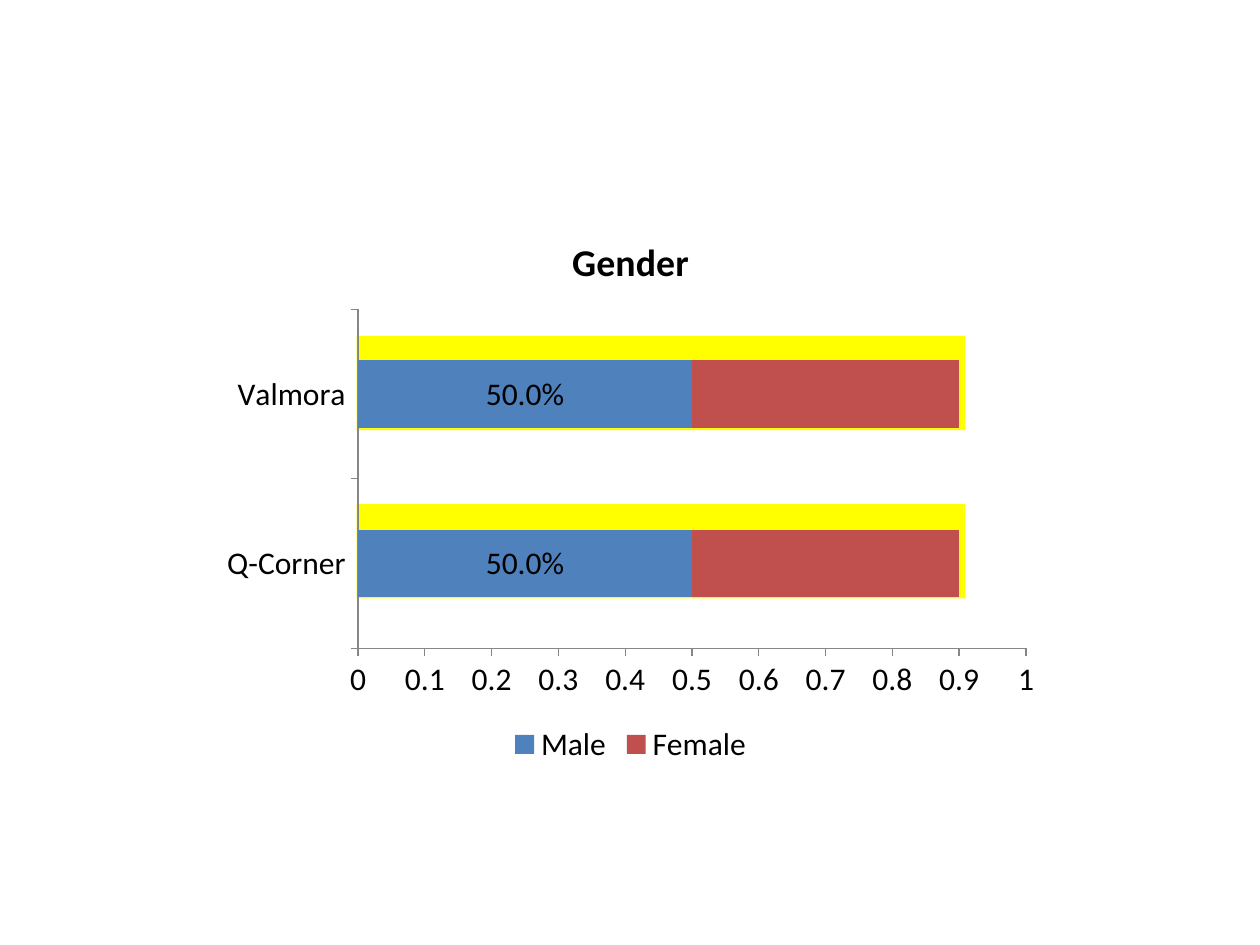
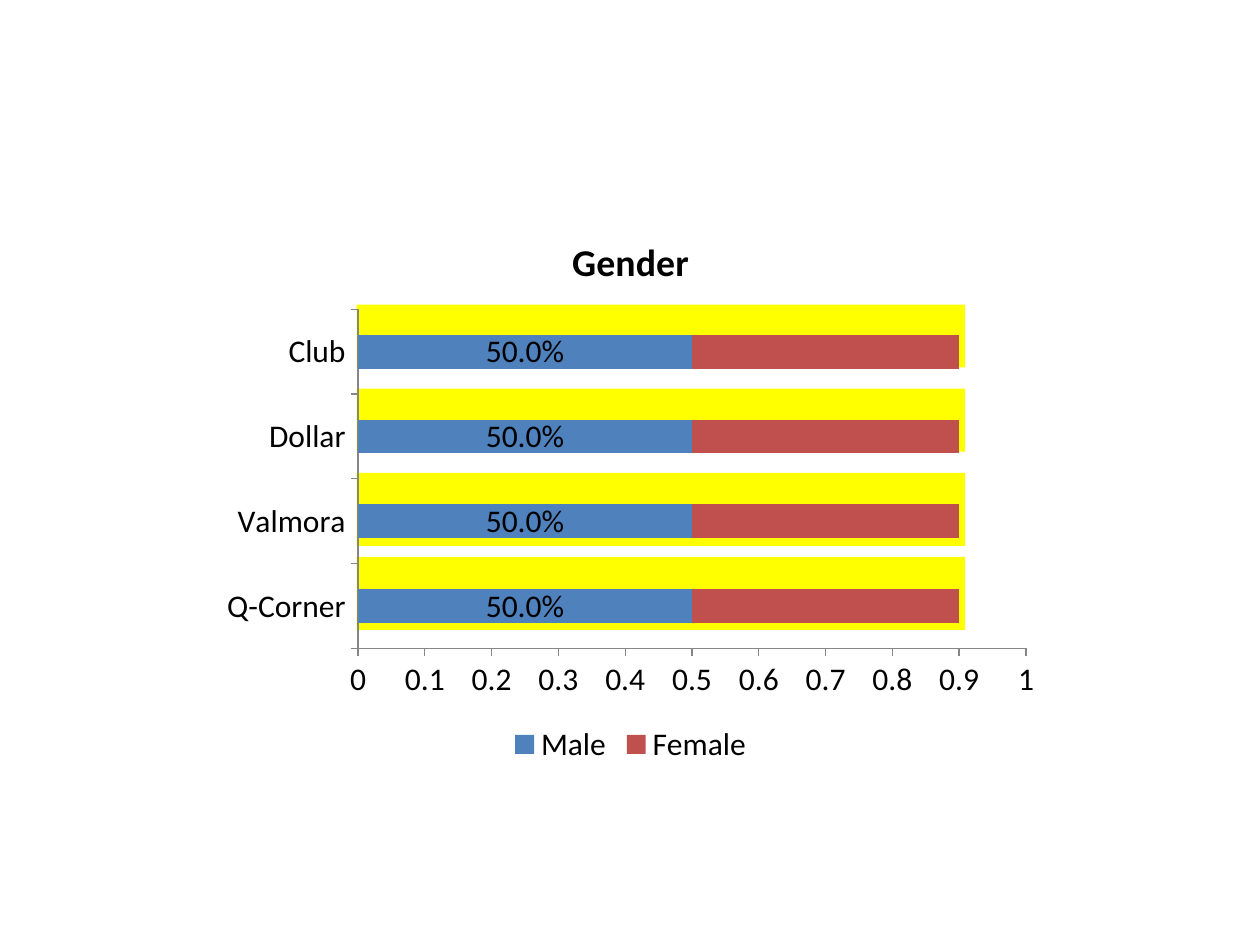
from dataclasses import dataclass

from pptx import Presentation
from pptx.chart.data import CategoryChartData
from pptx.dml.color import RGBColor
from pptx.enum.chart import XL_CHART_TYPE, XL_LEGEND_POSITION, XL_TICK_MARK
from pptx.enum.shapes import MSO_SHAPE
from pptx.util import Inches, Pt


@dataclass(frozen=True)
class Theme:
    """Colours, font and type sizes shared by the slides."""

    font: str = "Calibri"
    text: str = "000000"
    axis: str = "868686"
    highlight: str = "FFFF00"
    male: str = "4F81BD"
    female: str = "C0504D"
    title_size: float = 21.6
    body_size: float = 18


THEME = Theme()
CHART_BOX = (1.67, 1.67, 6.67, 4.44)
HIGHLIGHT_LEFT, HIGHLIGHT_LENGTH = 2.83, 4.83
HIGHLIGHT_SPAN = 2.67
SLIDES = [
    (["Q-Corner", "Valmora"], 4.0, [0.75, 0.75]),
    (["Q-Corner", "Valmora", "Dollar", "Club"], 4.42, [0.58, 0.58, 0.5, 0.5]),
]


def format_font(font, size, bold=False, color=THEME.text):
    """Give a font the theme typeface with a size, weight and colour."""
    font.name = THEME.font
    font.size = Pt(size)
    font.bold = bold
    font.color.rgb = RGBColor.from_string(color)


def write_text(text_frame, text, **font_format):
    """Put one formatted line of text in a text frame."""
    paragraph = text_frame.paragraphs[0]
    run = paragraph.add_run()
    run.text = text
    format_font(run.font, **font_format)


class Deck:
    """Holds the presentation, its theme and the current slide."""

    def __init__(self, theme):
        """Start an empty presentation."""
        self.theme = theme
        self.presentation = Presentation()
        self.presentation.slide_width = Inches(10)
        self.presentation.slide_height = Inches(7.5)
        self.slide = None

    def add_slide(self):
        """Add a blank slide and make it current."""
        layout = self.presentation.slide_layouts[6]
        self.slide = self.presentation.slides.add_slide(layout)

    def add_highlight(self, top, thickness):
        """Add an upright bar turned on its side behind a chart row."""
        left = HIGHLIGHT_LEFT + (HIGHLIGHT_LENGTH - thickness) / 2
        upright_top = top + (thickness - HIGHLIGHT_LENGTH) / 2
        shape = self.slide.shapes.add_shape(
            MSO_SHAPE.RECTANGLE, Inches(left), Inches(upright_top),
            Inches(thickness), Inches(HIGHLIGHT_LENGTH))
        shape.rotation = 90
        shape.shadow.inherit = False
        shape.fill.solid()
        shape.fill.fore_color.rgb = RGBColor.from_string(self.theme.highlight)
        shape.line.fill.background()

    def add_gender_chart(self, stores):
        """Add the stacked bar chart of gender by store."""
        data = CategoryChartData()
        data.categories = stores
        data.add_series("Male", [0.5] * len(stores))
        data.add_series("Female", [0.4] * len(stores))
        chart = self.slide.shapes.add_chart(
            XL_CHART_TYPE.BAR_STACKED, *map(Inches, CHART_BOX), data).chart
        format_font(chart.font, self.theme.body_size)
        chart.has_title = True
        write_text(chart.chart_title.text_frame, "Gender",
                   size=self.theme.title_size, bold=True)
        chart.chart_title.include_in_layout = False
        chart.has_legend = True
        chart.legend.position = XL_LEGEND_POSITION.BOTTOM
        chart.legend.include_in_layout = False
        self.style_axes(chart)
        self.style_series(chart.plots[0])

    def style_axes(self, chart):
        """Set the ticks, lines and value range of both axes."""
        for axis in (chart.category_axis, chart.value_axis):
            axis.has_major_gridlines = False
            axis.major_tick_mark = XL_TICK_MARK.OUTSIDE
            axis.minor_tick_mark = XL_TICK_MARK.NONE
            axis.format.line.color.rgb = RGBColor.from_string(self.theme.axis)
            axis.format.line.width = Pt(0.75)
        chart.value_axis.minimum_scale = 0
        chart.value_axis.maximum_scale = 1
        chart.value_axis.major_unit = 0.1

    def style_series(self, plot):
        """Colour the series and label the first one."""
        plot.gap_width = 150
        plot.overlap = 100
        plot.vary_by_categories = False
        for series, color in zip(plot.series, (self.theme.male, self.theme.female)):
            series.format.fill.solid()
            series.format.fill.fore_color.rgb = RGBColor.from_string(color)
        labels = plot.series[0].data_labels
        labels.show_value = True
        labels.number_format = "0.0%"
        labels.number_format_is_linked = False
        format_font(labels.font, self.theme.body_size)


def main():
    """Build both gender slides."""
    deck = Deck(THEME)
    for stores, bottom_row_top, thicknesses in SLIDES:
        deck.add_slide()
        step = HIGHLIGHT_SPAN / len(stores)
        for row, thickness in enumerate(thicknesses):
            deck.add_highlight(bottom_row_top - row * step, thickness)
        deck.add_gender_chart(stores)
    deck.presentation.save("out.pptx")


if __name__ == "__main__":
    main()
